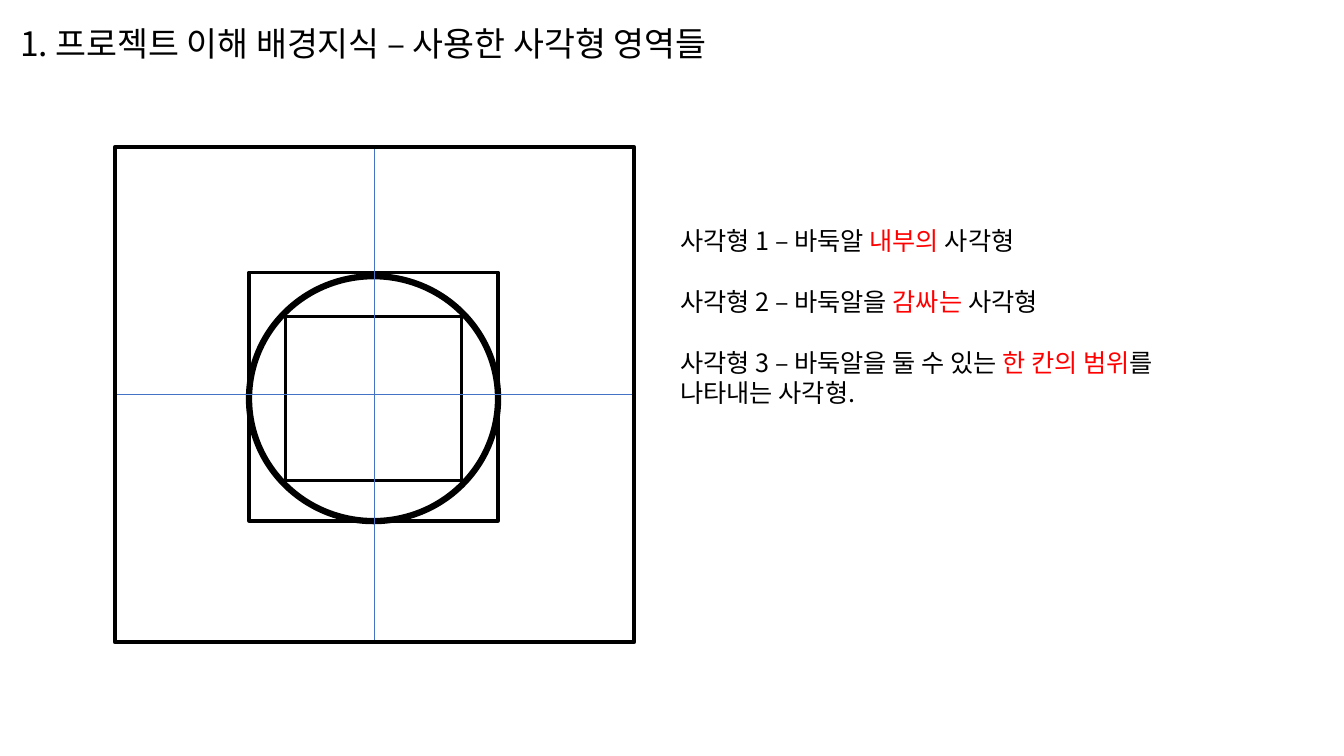
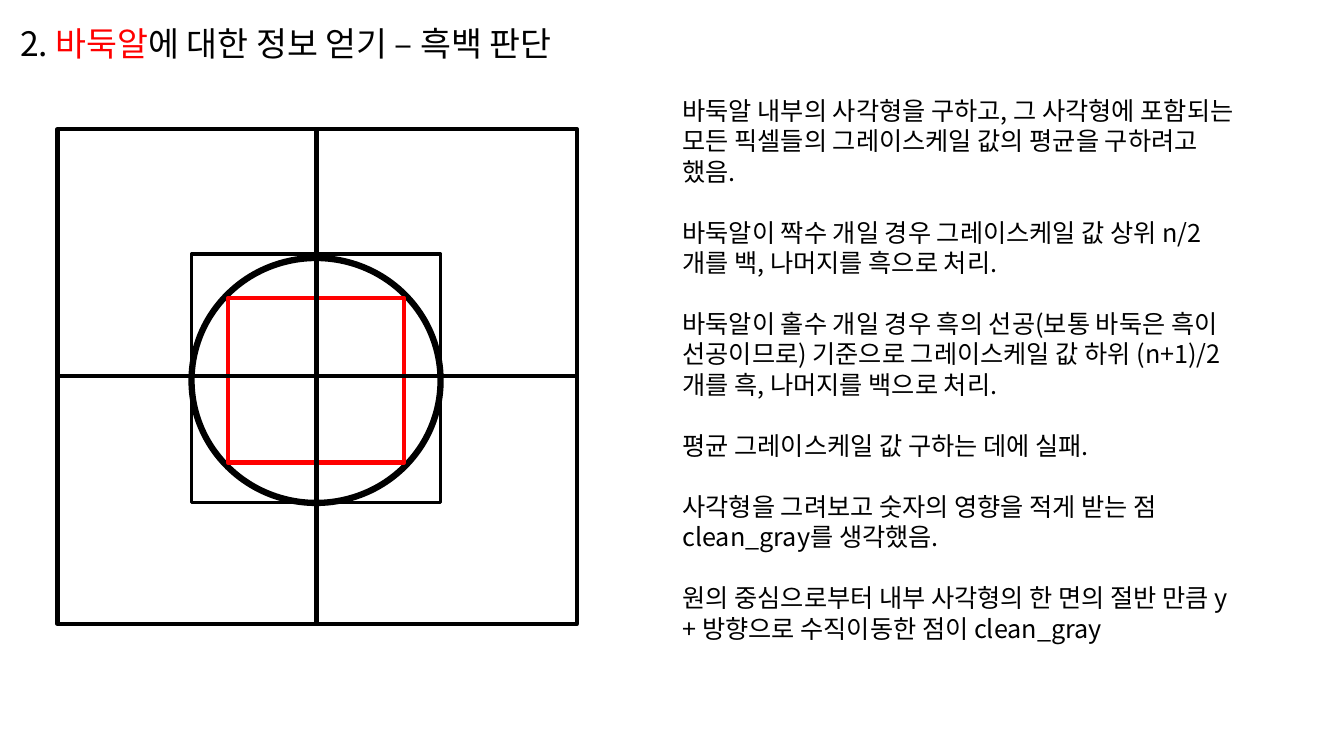
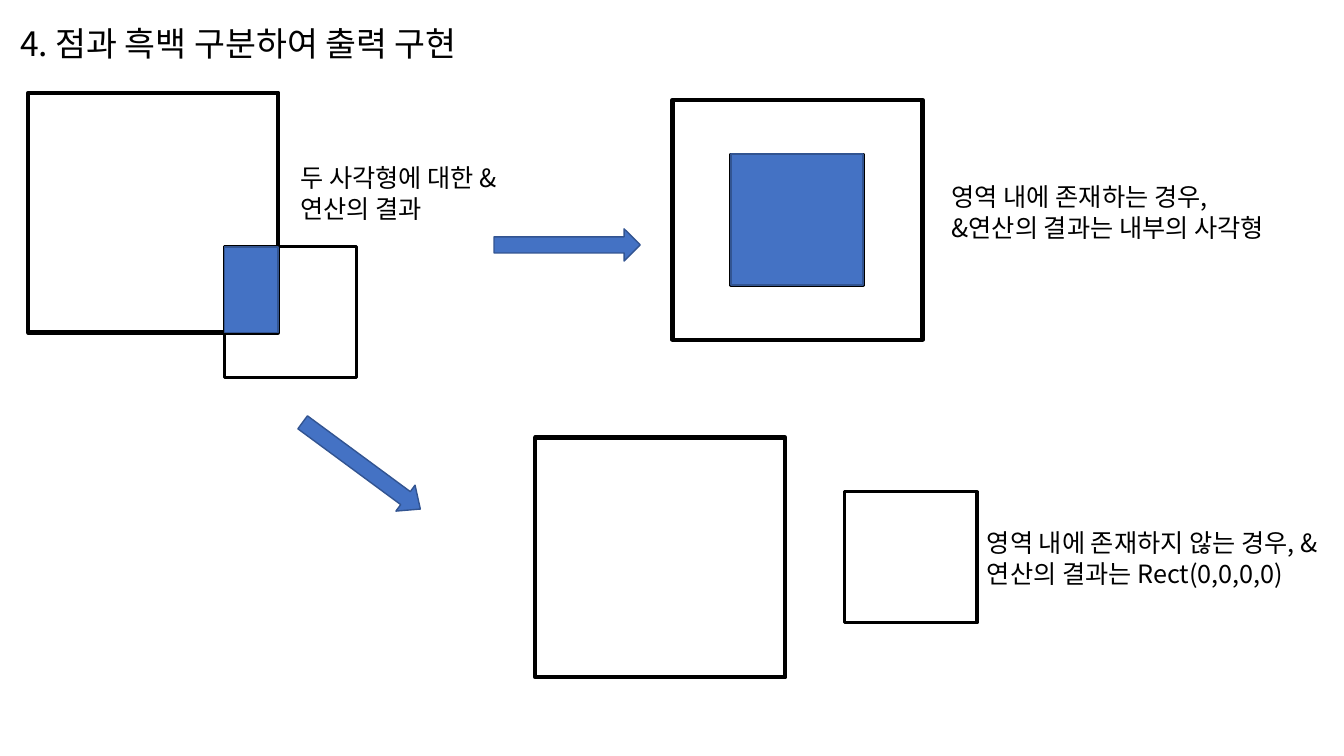
from lxml.etree import SubElement
from pptx import Presentation
from pptx.dml.color import RGBColor
from pptx.enum.shapes import MSO_CONNECTOR as Connector, MSO_SHAPE as Preset
from pptx.enum.text import MSO_ANCHOR as Anchor
from pptx.oxml.ns import qn
from pptx.util import Pt

PX = 9144  # EMU in one px, 100 px to the inch
BLACK = RGBColor(0x00, 0x00, 0x00)
RED = RGBColor(0xFF, 0x00, 0x00)
BLUE = RGBColor(0x44, 0x72, 0xC4)
DARK_BLUE = RGBColor(0x32, 0x54, 0x91)
FONT = "Noto Sans CJK KR"
LINE_HEIGHT = 1.21
TITLE_SIZE, BODY_SIZE = 24, 18

AREA_NOTES = [
    "사각형 1 – 바둑알 *내부의* 사각형",
    "사각형 2 – 바둑알을 *감싸는* 사각형",
    "사각형 3 – 바둑알을 둘 수 있는 *한 칸의 범위*를 나타내는 사각형.",
]
COLOUR_NOTES = [
    "바둑알 내부의 사각형을 구하고, 그 사각형에 포함되는 모든 픽셀들의 "
    "그레이스케일 값의 평균을 구하려고 했음.",
    "바둑알이 짝수 개일 경우 그레이스케일 값 상위 n/2개를 백, 나머지를 흑으로 처리.",
    "바둑알이 홀수 개일 경우 흑의 선공(보통 바둑은 흑이 선공이므로) 기준으로 "
    "그레이스케일 값 하위 (n+1)/2개를 흑, 나머지를 백으로 처리.",
    "평균 그레이스케일 값 구하는 데에 실패.",
    "사각형을 그려보고 숫자의 영향을 적게 받는 점 clean_gray를 생각했음.",
    "원의 중심으로부터 내부 사각형의 한 면의 절반 만큼 y + 방향으로 "
    "수직이동한 점이 clean_gray",
]


def emu(*lengths):
    return [length * PX for length in lengths]


def add_text(page, box, paragraphs, size=BODY_SIZE, anchor=Anchor.TOP, gap=0):
    """Write paragraphs, with the parts between asterisks in red."""
    frame = page.shapes.add_textbox(*emu(*box)).text_frame
    frame.word_wrap = True
    frame.vertical_anchor = anchor
    for index, text in enumerate(paragraphs):
        para = frame.add_paragraph() if index else frame.paragraphs[0]
        para.line_spacing = Pt(size * LINE_HEIGHT)
        if index:
            para.space_before = Pt(gap)
        para.font.size = Pt(size)
        para.font.name = FONT
        para.font.color.rgb = BLACK
        defaults = para._p.pPr.find(qn("a:defRPr"))
        SubElement(defaults, qn("a:ea")).set("typeface", FONT)
        for position, part in enumerate(text.split("*")):
            if part:
                span = para.add_run()
                span.text = part
                if position % 2:
                    span.font.color.rgb = RED


def add_notes(page, box, paragraphs):
    """Write paragraphs set one line apart."""
    add_text(page, box, paragraphs, gap=BODY_SIZE * LINE_HEIGHT)


def add_figure(page, preset, box, line=BLACK, width=3, fill=None):
    shape = page.shapes.add_shape(preset, *emu(*box))
    shape.shadow.inherit = False
    if fill is None:
        shape.fill.background()
    else:
        shape.fill.solid()
        shape.fill.fore_color.rgb = fill
    shape.line.color.rgb = line
    shape.line.width = Pt(width)
    return shape


def add_blue_figure(page, preset, box):
    return add_figure(page, preset, box, DARK_BLUE, 1, BLUE)


def add_line(page, start, end, colour, width):
    line = page.shapes.add_connector(Connector.STRAIGHT, *emu(*start, *end))
    line.line.color.rgb = colour
    line.line.width = Pt(width)
    SubElement(line._element.spPr, qn("a:effectLst"))


def add_page(deck, title):
    page = deck.slides.add_slide(deck.slide_layouts[6])
    add_text(page, (10, 11, 1049, 63), [title], TITLE_SIZE, Anchor.MIDDLE)
    return page


def add_stone_cell(page, left, top, inner_line, axis_line):
    """Draw a board cell with its stone, its squares and its axes."""
    width, height = 515, 491
    middle_x, middle_y = left + width // 2, top + height // 2
    stone_left = left + 133
    add_figure(page, Preset.OVAL, (stone_left, top + 128, 247, 243), width=4.5)
    add_figure(page, Preset.RECTANGLE, (left + 169, top + 168, 175, 163), *inner_line)
    add_figure(page, Preset.RECTANGLE, (stone_left, top + 124, 247, 247), width=2.25)
    add_line(page, (middle_x, top), (middle_x, top + height), *axis_line)
    add_line(page, (left, middle_y), (left + width, middle_y), *axis_line)
    add_figure(page, Preset.RECTANGLE, (left, top, width, height))


def add_intersection(page, left, top, offset_x, offset_y):
    """Draw an area, a square set off from its corner, and what they share."""
    area_width, area_height = 248, 238
    side_x, side_y = 131, 130
    square_left, square_top = left + offset_x, top + offset_y
    add_figure(page, Preset.RECTANGLE,
               (square_left, square_top, side_x, side_y), width=2.25)
    add_figure(page, Preset.RECTANGLE, (left, top, area_width, area_height))
    shared_width = min(side_x, area_width - offset_x)
    shared_height = min(side_y, area_height - offset_y)
    if shared_width > 0 and shared_height > 0:
        add_blue_figure(page, Preset.RECTANGLE,
                        (square_left, square_top, shared_width, shared_height))


def add_areas_page(deck):
    page = add_page(deck, "1. 프로젝트 이해 배경지식 – 사용한 사각형 영역들")
    add_stone_cell(page, 114, 146, (BLACK, 2.25), (BLUE, 0.5))
    add_notes(page, (665, 218, 570, 192), AREA_NOTES)


def add_colour_page(deck):
    page = add_page(deck, "2. *바둑알*에 대한 정보 얻기 – 흑백 판단")
    add_stone_cell(page, 57, 128, (RED, 3), (BLACK, 3))
    add_notes(page, (667, 89, 569, 555), COLOUR_NOTES)


def add_output_page(deck):
    page = add_page(deck, "4. 점과 흑백 구분하여 출력 구현")
    add_intersection(page, 531, 434, 307, 54)
    add_intersection(page, 667, 99, 58, 54)
    add_intersection(page, 28, 92, 195, 153)
    add_text(page, (288, 156, 216, 71), ["두 사각형에 대한 & 연산의 결과"])
    add_text(page, (969, 518, 390, 71),
             ["영역 내에 존재하지 않는 경우, &연산의 결과는 Rect(0,0,0,0)"])
    add_text(page, (934, 175, 380, 71),
             ["영역 내에 존재하는 경우,", "&연산의 결과는 내부의 사각형"])
    add_blue_figure(page, Preset.RIGHT_ARROW, (490, 227, 145, 32))
    slanted_arrow = add_blue_figure(page, Preset.RIGHT_ARROW, (286, 446, 145, 32))
    slanted_arrow.adjustments[1] = 0.57
    slanted_arrow.rotation = 36.4


def main():
    deck = Presentation()
    deck.slide_width, deck.slide_height = emu(1333, 750)
    add_areas_page(deck)
    add_colour_page(deck)
    add_output_page(deck)
    deck.save("out.pptx")


if __name__ == "__main__":
    main()
